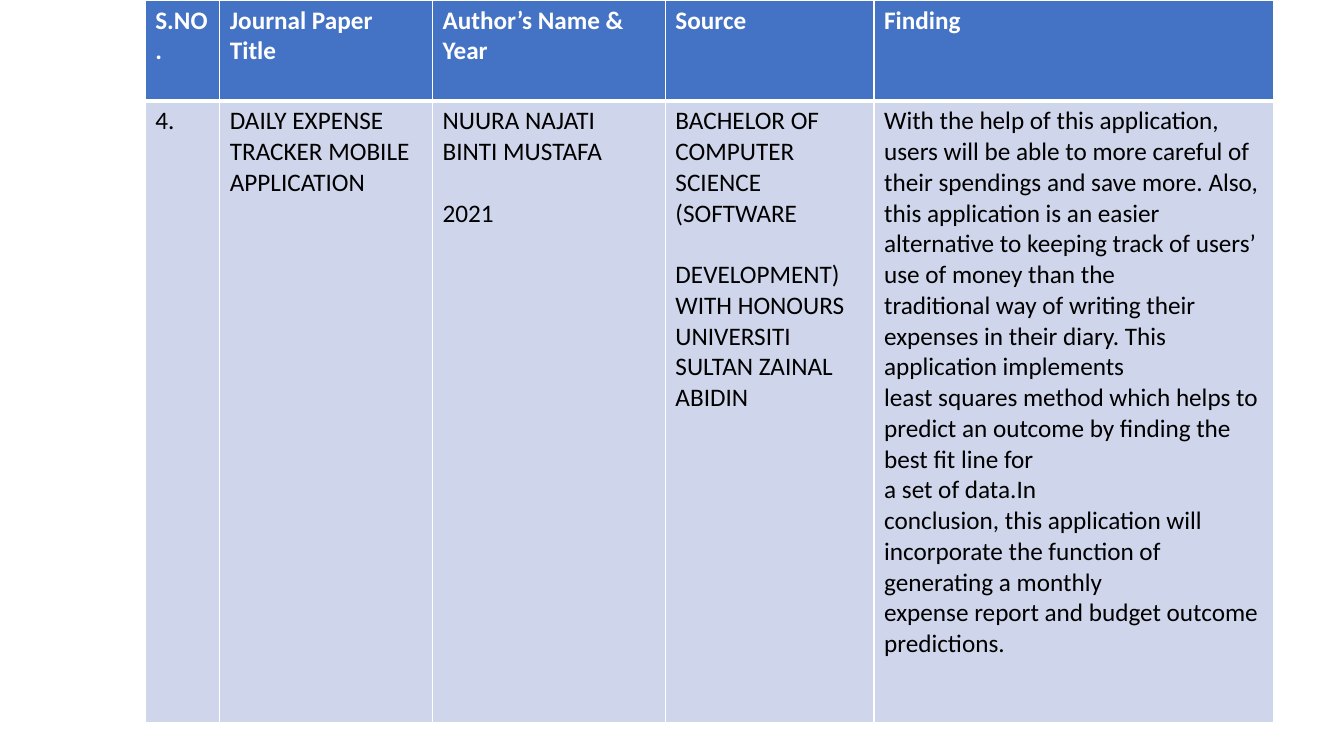
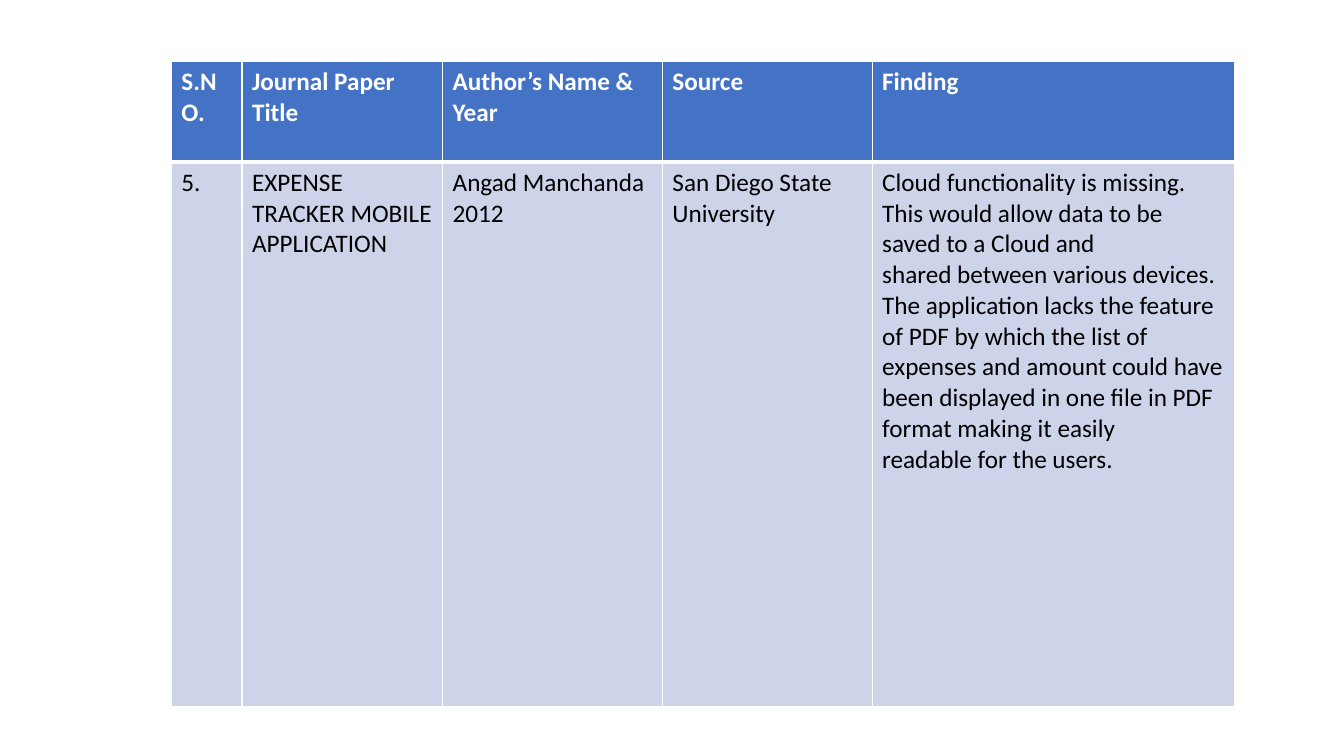
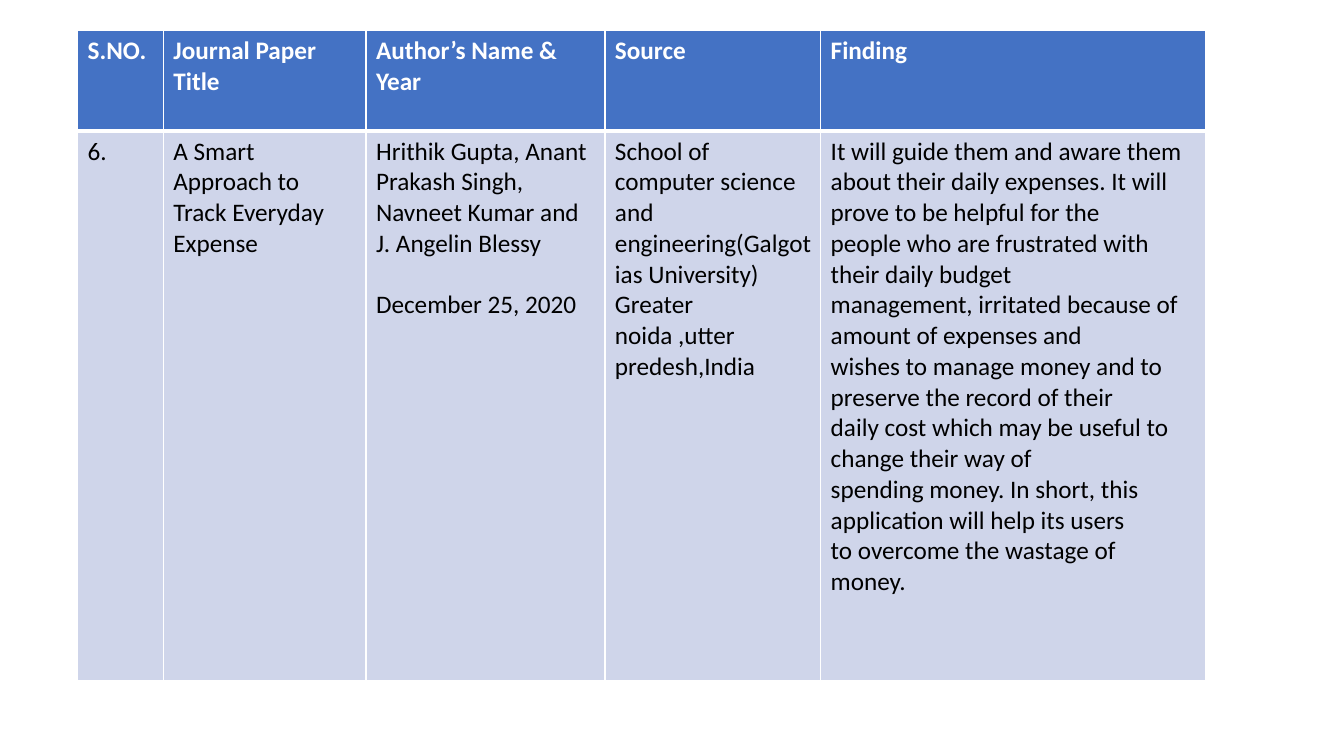
import pptx
import pptx.util
import pptx.dml.color
import pptx.oxml
import pptx.oxml.ns

WHITE, BLACK, BLUE = "FFFFFF", "000000", "4472C4"
HEADINGS = ["S.NO.", "Journal Paper Title", "Author’s Name & Year", "Source", "Finding"]
HEADER_HEIGHT = 1.0
GAP = pptx.util.Pt(22)

PAPERS = [
    {
        "box": (1.44, 0, 6.17), "columns": [0.74, 2.11, 2.31, 2.07, 3.96], "fill": "CFD5EA",
        "cells": [
            "4.",
            "DAILY EXPENSE TRACKER MOBILE APPLICATION",
            "NUURA NAJATI BINTI MUSTAFA\n\n2021",
            "BACHELOR OF COMPUTER SCIENCE (SOFTWARE\n\n"
            "DEVELOPMENT) WITH HONOURS\n"
            "UNIVERSITI SULTAN ZAINAL ABIDIN",
            "With the help of this application,\n"
            "users will be able to more careful of their spendings and save more. Also, this "
            "application is an easier alternative to keeping track of users’ use of money than the\n"
            "traditional way of writing their expenses in their diary. This application implements\n"
            "least squares method which helps to predict an outcome by finding the best fit line for\n"
            "a set of data.In\n"
            "conclusion, this application will incorporate the function of generating a monthly\n"
            "expense report and budget outcome predictions.",
        ],
    },
    {
        "box": (1.7, 0.61, 5.4), "columns": [0.7, 1.99, 2.18, 2.08, 3.6], "fill": "CDD4EA",
        "cells": [
            "5.",
            "EXPENSE TRACKER MOBILE APPLICATION",
            "Angad Manchanda\n2012",
            "San Diego State University",
            "Cloud functionality is missing. This would allow data to be saved to a Cloud and\n"
            "shared between various devices. The application lacks the feature of PDF by which "
            "the list of\n"
            "expenses and amount could have been displayed in one file in PDF format making it easily\n"
            "readable for the users.",
        ],
    },
    {
        "box": (0.77, 0.3, 5.45), "columns": [0.85, 2.01, 2.37, 2.14, 3.82], "fill": "CFD5EA",
        "cells": [
            "6.",
            "A Smart Approach to Track Everyday Expense",
            "Hrithik Gupta, Anant Prakash Singh, Navneet Kumar and\n"
            "J. Angelin Blessy\n\nDecember 25, 2020",
            "School of computer science and\n"
            "engineering(Galgotias University)\n"
            "Greater noida ,utter predesh,India",
            "It will guide them and aware them\n"
            "about their daily expenses. It will prove to be helpful for the\n"
            "people who are frustrated with their daily budget\n"
            "management, irritated because of amount of expenses and\n"
            "wishes to manage money and to preserve the record of their\n"
            "daily cost which may be useful to change their way of\n"
            "spending money. In short, this application will help its users\n"
            "to overcome the wastage of money.",
        ],
    },
]


def color(value):
    """Turn a hex string into a colour."""
    return pptx.dml.color.RGBColor.from_string(value)


def add_borders(cell, widths):
    """Draw white edges of the given point widths round a cell."""
    properties = cell._tc.get_or_add_tcPr()
    for side, width in widths.items():
        properties.append(pptx.oxml.parse_xml(
            f'<a:ln{side} {pptx.oxml.ns.nsdecls("a")} w="{pptx.util.Pt(width)}">'
            f'<a:solidFill><a:srgbClr val="{WHITE}"/></a:solidFill></a:ln{side}>'))


def write_text(frame, text, ink, bold):
    """Write one paragraph a line, with a gap before each new block."""
    para = frame.paragraphs[0]
    for block_number, block in enumerate(text.split("\n\n")):
        for line_number, line in enumerate(block.split("\n")):
            if block_number or line_number:
                para = frame.add_paragraph()
            if block_number and not line_number:
                para.space_before = GAP
            span = para.add_run()
            span.text = line
            style = {"name": "Calibri", "size": pptx.util.Pt(18), "bold": bold}
            for name, value in style.items():
                setattr(span.font, name, value)
            span.font.color.rgb = color(ink)


def add_paper_table(page, box, columns, fill, cells):
    """Place a heading row and one reviewed paper at left, top, body height."""
    left, top, body_height = box
    heights = [HEADER_HEIGHT, body_height]
    frame = page.shapes.add_table(
        2, len(columns), *map(pptx.util.Inches, (left, top, sum(columns), sum(heights))))
    table = frame.table
    for column, width in zip(table.columns, columns):
        column.width = pptx.util.Inches(width)
    rows = [
        (HEADINGS, BLUE, WHITE, True, {"L": 1, "R": 1, "T": 1, "B": 3}),
        (cells, fill, BLACK, False, {"L": 1, "R": 1, "T": 3, "B": 1}),
    ]
    for row, height, (texts, back, ink, bold, edges) in zip(table.rows, heights, rows):
        row.height = pptx.util.Inches(height)
        for cell, text in zip(row.cells, texts):
            add_borders(cell, edges)
            cell.fill.solid()
            cell.fill.fore_color.rgb = color(back)
            write_text(cell.text_frame, text, ink, bold)


def build_deck():
    """Build one page for each reviewed paper and save the deck."""
    deck = pptx.Presentation()
    deck.slide_width = pptx.util.Inches(13.33)
    deck.slide_height = pptx.util.Inches(7.5)
    for paper in PAPERS:
        page = deck.slides.add_slide(deck.slide_layouts[6])
        add_paper_table(page, **paper)
    deck.save("out.pptx")


build_deck()
